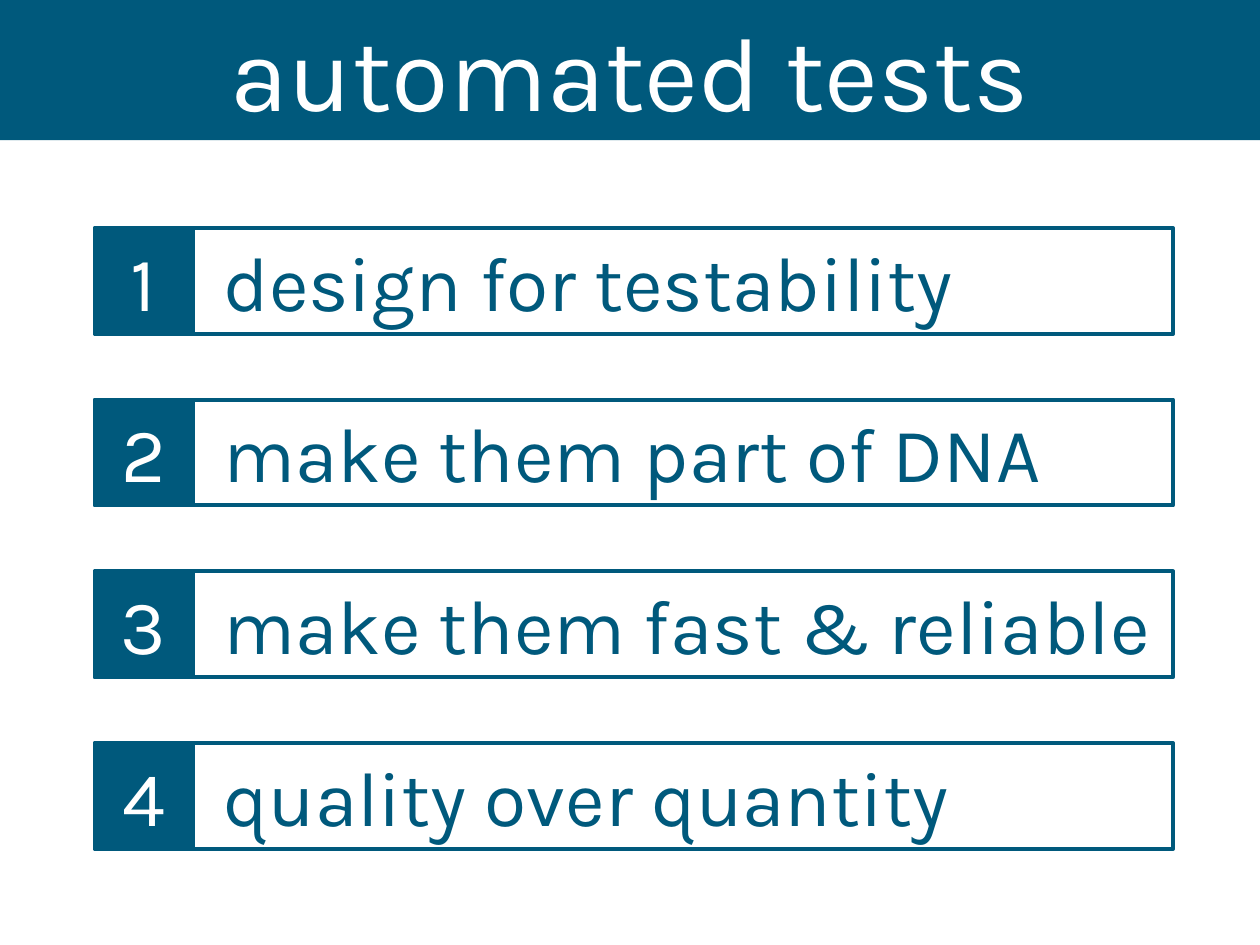
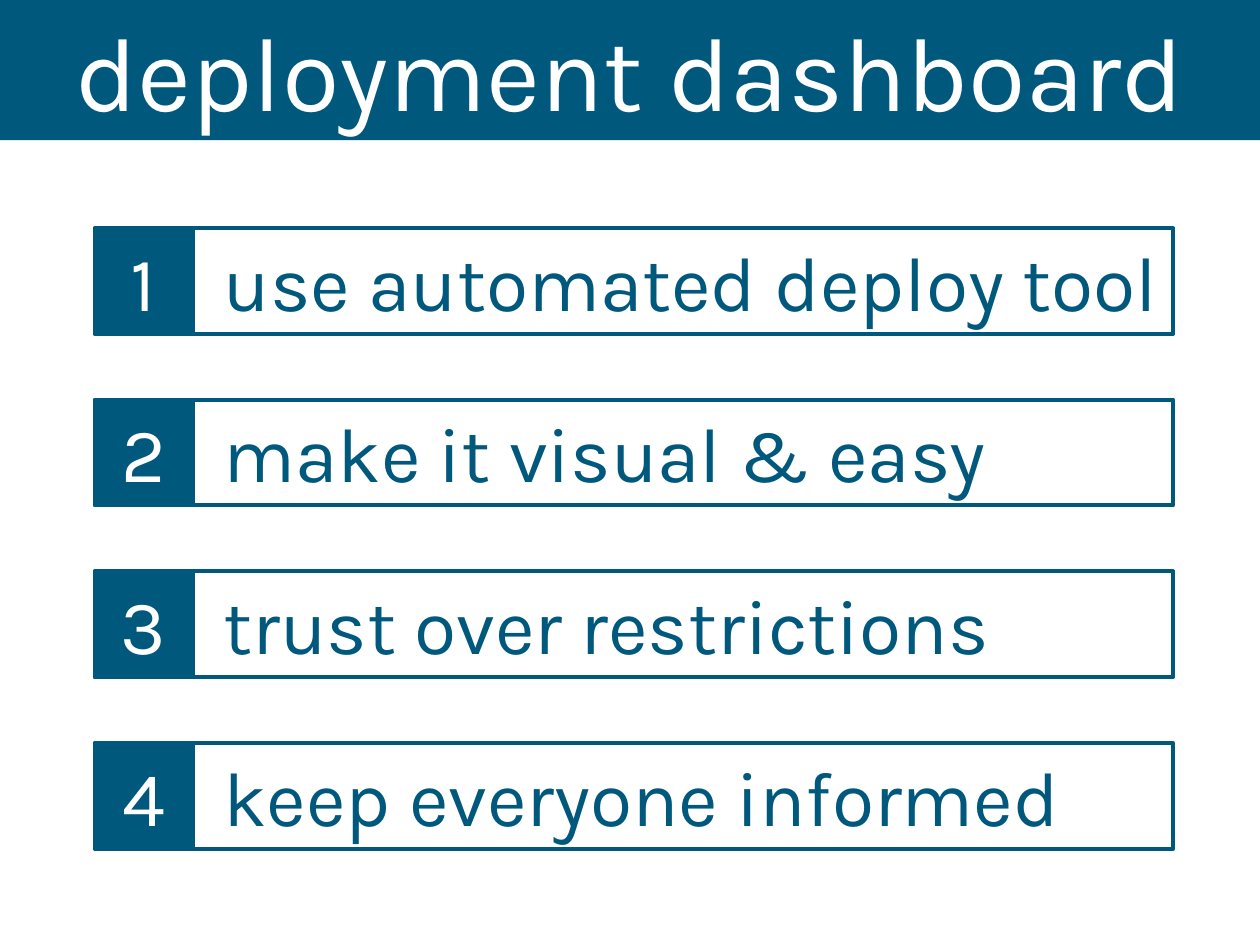
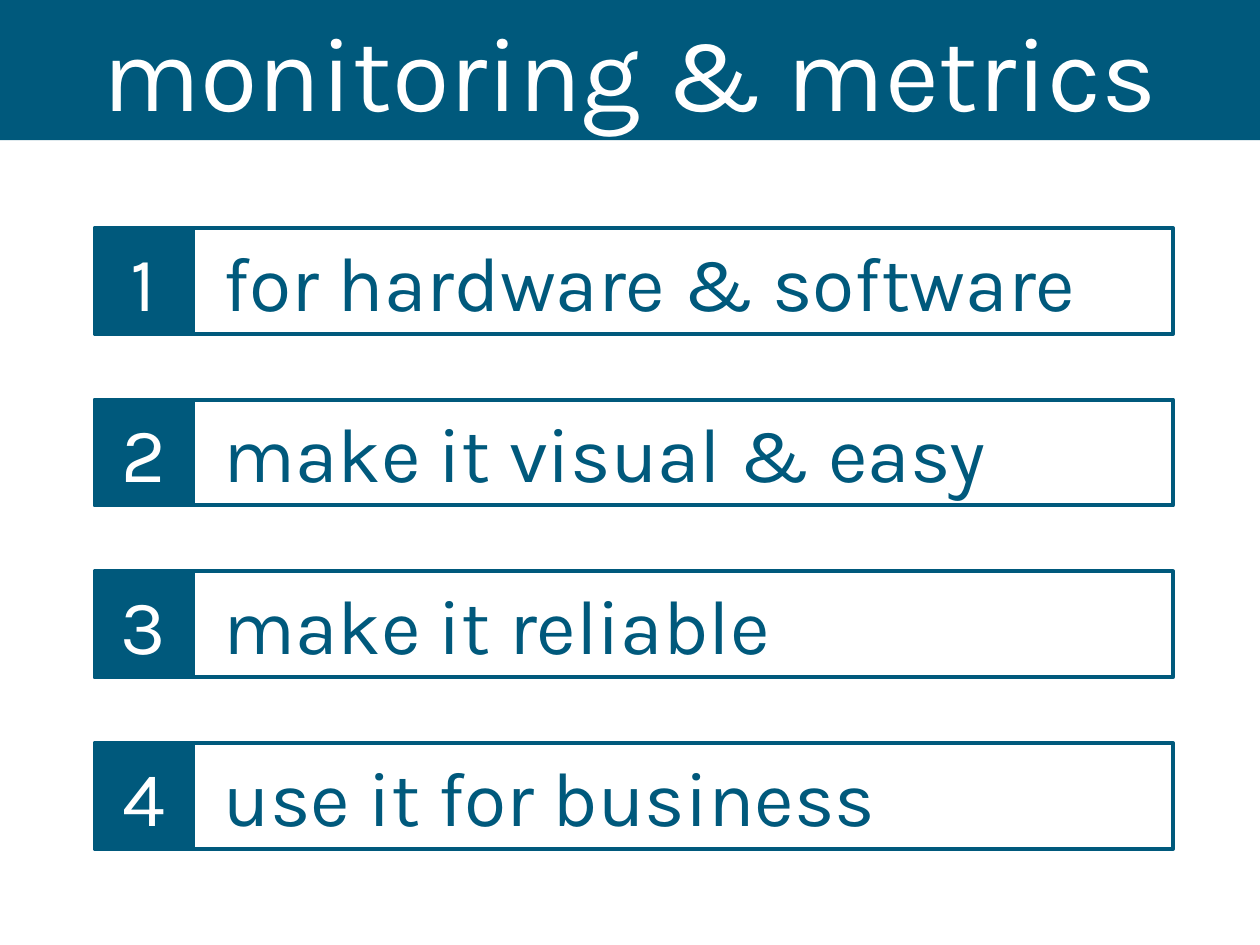
from pptx import Presentation
from pptx.dml.color import RGBColor
from pptx.enum.shapes import MSO_SHAPE
from pptx.enum.text import MSO_ANCHOR, MSO_AUTO_SIZE, PP_ALIGN
from pptx.util import Pt

BLUE = RGBColor(0x00, 0x59, 0x7C)
WHITE = RGBColor(0xFF, 0xFF, 0xFF)
RECT = MSO_SHAPE.RECTANGLE
TOP = MSO_ANCHOR.TOP
GROW = MSO_AUTO_SIZE.SHAPE_TO_FIT_TEXT
LEFT, CENTER = PP_ALIGN.LEFT, PP_ALIGN.CENTER

FACE = "Karla"
WIDE, HIGH = 720, 540
BAND = (0, 0, WIDE, 80)
LIST = (54, 130.3, 616.3, 354.8)
ROW = 60.5
BADGE = 56.2
EDGE = 2.25

FRAME = {
    "word_wrap": True, "auto_size": GROW, "vertical_anchor": TOP,
    "margin_left": Pt(7.2), "margin_right": Pt(7.2),
    "margin_top": Pt(3.6), "margin_bottom": Pt(3.6),
}
INDENT = {"margin_left": Pt(17.5), "margin_right": Pt(3)}

DECK = [
    ("automated tests", [
        "design for testability",
        "make them part of DNA",
        "make them fast & reliable",
        "quality over quantity",
    ]),
    ("deployment dashboard", [
        "use automated deploy tool",
        "make it visual & easy",
        "trust over restrictions",
        "keep everyone informed",
    ]),
    ("monitoring & metrics", [
        "for hardware & software",
        "make it visual & easy",
        "make it reliable",
        "use it for business",
    ]),
]


def apply(item, values):
    for name, value in values.items():
        setattr(item, name, value)


def paint(shape, color):
    shape.fill.solid()
    shape.fill.fore_color.rgb = color


def write(shape, text, size, color, align, extra=None):
    frame = shape.text_frame
    frame.text = text
    apply(frame, {**FRAME, **(extra or {})})
    para = frame.paragraphs[0]
    para.alignment = align
    apply(para.font, {"name": FACE, "size": Pt(size)})
    para.font.color.rgb = color


def add_cell(slide, box, fill):
    cell = slide.shapes.add_shape(RECT, *map(Pt, box))
    cell.shadow.inherit = False
    if fill is None:
        cell.fill.background()
    else:
        paint(cell, fill)
    cell.line.color.rgb = BLUE
    cell.line.width = Pt(EDGE)
    return cell


def add_band(slide, box, text):
    title = slide.shapes.title
    apply(title, dict(zip(("left", "top", "width", "height"), map(Pt, box))))
    paint(title, BLUE)
    write(title, text, 60, WHITE, CENTER)


def add_row(slide, box, number, text):
    left, top, width, height = box
    body = add_cell(slide, (left + BADGE, top, width - BADGE, height), None)
    write(body, text, 44, BLUE, LEFT, INDENT)
    badge = add_cell(slide, (left, top, BADGE, height), BLUE)
    write(badge, str(number), 44, WHITE, CENTER)


def add_list(slide, box, items):
    left, top, width, height = box
    step = (height - ROW) / (len(items) - 1)
    for i, text in enumerate(items):
        add_row(slide, (left, top + i * step, width, ROW), i + 1, text)


def main():
    deck = Presentation()
    deck.slide_width, deck.slide_height = Pt(WIDE), Pt(HIGH)
    for title, items in DECK:
        slide = deck.slides.add_slide(deck.slide_layouts[5])
        add_band(slide, BAND, title)
        add_list(slide, LIST, items)
    deck.save("out.pptx")


if __name__ == "__main__":
    main()
